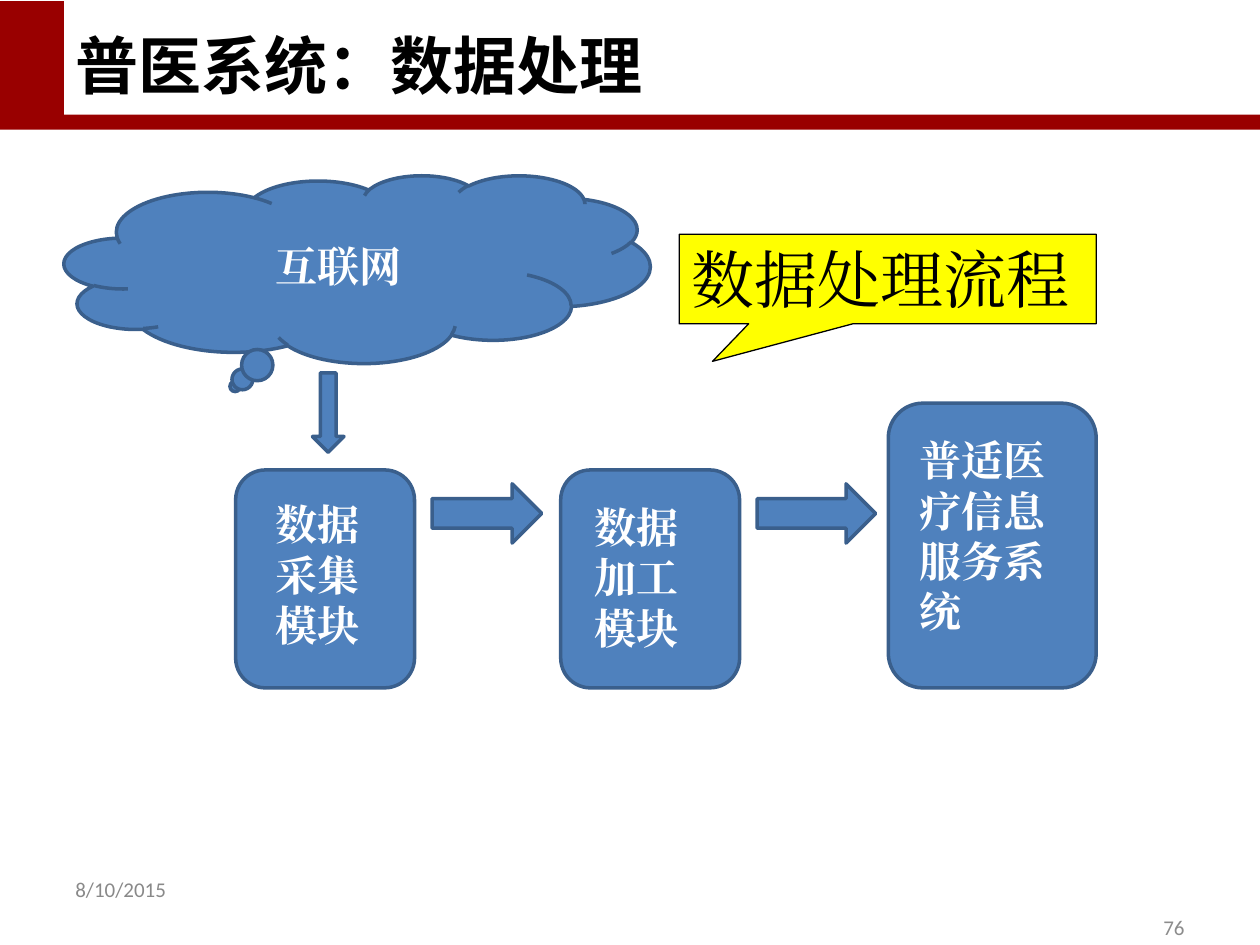
from dataclasses import dataclass

from lxml import etree
from pptx import Presentation
from pptx import util as u
from pptx.dml.color import RGBColor
from pptx.enum import shapes, text
from pptx.oxml import ns

SHAPE = shapes.MSO_SHAPE
ANCHOR = text.MSO_ANCHOR
ALIGN = text.PP_ALIGN


@dataclass(frozen=True)
class Theme:
    banner: str = "990000"
    paper: str = "FFFFFF"
    ink: str = "000000"
    node: str = "4F81BD"
    edge: str = "3A5F8C"
    note: str = "FFFF00"
    date: str = "898989"
    number: str = "8C8C8C"
    heading: int = 36
    label: int = 24
    footer: int = 12
    heading_font: str = "Noto Sans CJK SC"
    body_font: str = "Times New Roman"
    footer_font: str = "Calibri"


class FlowSlide:
    COLUMNS, ROWS = 100, 75

    def __init__(self, theme):
        self.theme = theme
        self.deck = Presentation()
        self.deck.slide_width, self.deck.slide_height = u.Inches(10), u.Inches(7.5)
        self.slide = self.deck.slides.add_slide(self.deck.slide_layouts[6])

    def place(self, col, row, cols, rows):
        cell_w = self.deck.slide_width / self.COLUMNS
        cell_h = self.deck.slide_height / self.ROWS
        return [round(n) for n in (col * cell_w, row * cell_h, cols * cell_w, rows * cell_h)]

    def block(self, kind, area, fill, edge=None, weight=2):
        block = self.slide.shapes.add_shape(kind, *self.place(*area))
        block.shadow.inherit = False
        block.fill.solid()
        block.fill.fore_color.rgb = RGBColor.from_string(fill)
        if edge:
            block.line.color.rgb = RGBColor.from_string(edge)
            block.line.width = u.Pt(weight)
        else:
            block.line.fill.background()
        return block

    def node(self, kind, area):
        return self.block(kind, area, self.theme.node, self.theme.edge)

    def fill_in(self, holder, words, size, font, color, bold=False,
                anchor=ANCHOR.TOP, align=ALIGN.LEFT):
        frame = holder.text_frame
        frame.text = words
        frame.word_wrap = True
        frame.vertical_anchor = anchor
        frame.paragraphs[0].alignment = align
        run = frame.paragraphs[0].runs[0]
        run.font.size, run.font.bold, run.font.name = u.Pt(size), bold, font
        run.font.color.rgb = RGBColor.from_string(color)
        etree.SubElement(run._r.get_or_add_rPr(), ns.qn("a:ea"), typeface=font)

    def words(self, area, words, *style, **options):
        holder = self.slide.shapes.add_textbox(*self.place(*area))
        self.fill_in(holder, words, *style, **options)

    def label(self, area, words):
        t = self.theme
        self.words(area, words, t.label, t.body_font, t.paper, bold=True)

    def footer(self, area, words, color, align=ALIGN.LEFT):
        t = self.theme
        self.words(area, words, t.footer, t.footer_font, color,
                   anchor=ANCHOR.MIDDLE, align=align)

    def banner(self, title):
        t = self.theme
        self.block(SHAPE.RECTANGLE, (0, 0.1, 100, 10.2), t.banner)
        self.block(SHAPE.RECTANGLE, (5.1, 0, 94.9, 9.1), t.paper)
        self.words((5, 1.4, 90, 7.2), title, t.heading, t.heading_font, t.ink,
                   bold=True, anchor=ANCHOR.BOTTOM)

    def callout(self, area, tip, words):
        t = self.theme
        note = self.block(SHAPE.RECTANGULAR_CALLOUT, area, t.note, t.ink, 0.75)
        note.adjustments[0], note.adjustments[1] = tip
        self.fill_in(note, words, t.heading, t.body_font, t.ink)


def main():
    theme = Theme()
    page = FlowSlide(theme)
    page.banner("普医系统：数据处理")

    page.node(SHAPE.CLOUD_CALLOUT, (5.1, 13.9, 46.5, 14.9))
    page.label((20.9, 18.6, 16.5, 5.1), "互联网")

    modules = [
        ((18.7, 37.3, 14.2, 17.3), (20.9, 39.1, 11.2, 13.1), "数据采集模块"),
        ((44.5, 37.3, 14.2, 17.3), (46.2, 39.3, 10.2, 13.1), "数据加工模块"),
        ((70.5, 32, 16.5, 22.6), (72, 34, 14.2, 17.2), "普适医疗信息服务系统"),
    ]
    for module, caption, name in modules:
        page.node(SHAPE.FLOWCHART_ALTERNATE_PROCESS, module)
        page.label(caption, name)

    page.node(SHAPE.DOWN_ARROW, (24.8, 29.6, 2.5, 6.3))
    for col, cols in ((34.3, 8.7), (60.1, 9.4)):
        page.node(SHAPE.RIGHT_ARROW, (col, 38.4, cols, 4.7))

    page.callout((53.9, 18.6, 33.1, 7.1), (-0.42, 0.92), "数据处理流程")
    page.footer((5, 68.6, 23.3, 4), "8/10/2015", theme.date)
    page.footer((71.7, 71.6, 23.3, 4), "76", theme.number, ALIGN.RIGHT)
    page.deck.save("out.pptx")


if __name__ == "__main__":
    main()
